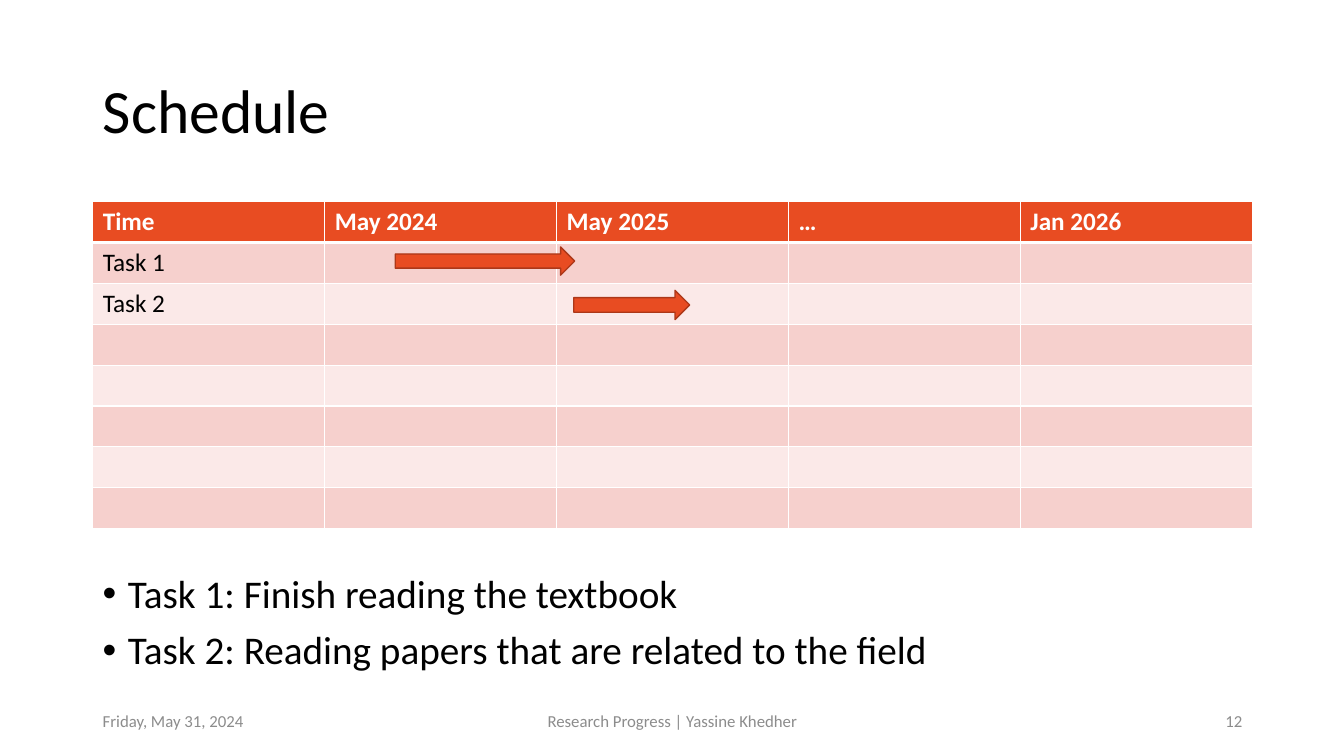
from dataclasses import dataclass

from pptx import Presentation
from pptx import util as u
from pptx.dml import color
from pptx.enum import shapes, text
from pptx.oxml import parse_xml
from pptx.oxml import ns

IN = u.Inches
LEFT, WIDTH = 0.92, 11.5


@dataclass(frozen=True)
class Theme:
    font: str = "Calibri"
    ink: str = "000000"
    pale: str = "FFFFFF"
    grey: str = "8C8C8C"
    main: str = "E84C22"
    edge: str = "AC3819"
    bands: tuple = ("F6D0CD", "FBE9E8")
    head: int = 44
    body: int = 28
    cell: int = 18
    foot: int = 12


THEME = Theme()


def rgb(code):
    return color.RGBColor.from_string(code)


def add_run(para, words, size, ink, bold=False):
    run = para.add_run()
    run.text = words
    font = run.font
    font.name, font.size, font.bold = THEME.font, u.Pt(size), bold
    font.color.rgb = rgb(ink)


def add_box(slide, box, anchor):
    frame = slide.shapes.add_textbox(*map(IN, box)).text_frame
    frame.word_wrap = True
    frame.vertical_anchor = anchor
    return frame


def add_title(slide, box, words):
    title = slide.shapes.title
    title.left, title.top, title.width, title.height = map(IN, box)
    frame = title.text_frame
    frame.vertical_anchor = text.MSO_ANCHOR.MIDDLE
    para = frame.paragraphs[0]
    para.alignment = text.PP_ALIGN.LEFT
    para.line_spacing = 0.9
    add_run(para, words, THEME.head, THEME.ink)


def add_edges(cell, head):
    props = cell._tc.get_or_add_tcPr()
    for spot, side in enumerate(("lnL", "lnR", "lnT", "lnB")):
        wide = u.Pt(3 if head and side == "lnB" else 1)
        props.insert(spot, parse_xml(
            f'<a:{side} {ns.nsdecls("a")} w="{wide}"><a:solidFill>'
            f'<a:srgbClr val="{THEME.pale}"/></a:solidFill></a:{side}>'))


def add_plan(slide, box, heads, tasks, count):
    grid = slide.shapes.add_table(count, len(heads), *map(IN, box)).table
    for col in grid.columns:
        col.width = IN(box[2] / len(heads))
    for row in grid.rows:
        row.height = IN(box[3] / count)
    for r in range(count):
        for c in range(len(heads)):
            cell = grid.cell(r, c)
            cell.fill.solid()
            cell.fill.fore_color.rgb = rgb(THEME.bands[(r - 1) % 2] if r else THEME.main)
            add_edges(cell, r == 0)
            para = cell.text_frame.paragraphs[0]
            para.font.size = u.Pt(THEME.cell)
            if r == 0:
                add_run(para, heads[c], THEME.cell, THEME.pale, True)
            elif c == 0 and r <= len(tasks):
                add_run(para, tasks[r - 1], THEME.cell, THEME.ink)


def add_spans(slide, box, spans):
    for left, top, width, height in spans:
        place = (box[0] + left, box[1] + top, width, height)
        arrow = slide.shapes.add_shape(shapes.MSO_SHAPE.RIGHT_ARROW, *map(IN, place))
        arrow.shadow.inherit = False
        arrow.fill.solid()
        arrow.fill.fore_color.rgb = rgb(THEME.main)
        arrow.line.color.rgb = rgb(THEME.edge)
        arrow.line.width = u.Pt(1)


def add_notes(slide, box, lines):
    frame = add_box(slide, box, text.MSO_ANCHOR.TOP)
    for i, words in enumerate(lines):
        para = frame.add_paragraph() if i else frame.paragraphs[0]
        props = para._p.get_or_add_pPr()
        props.set("marL", str(IN(0.25)))
        props.set("indent", str(IN(-0.25)))
        props.append(parse_xml(f'<a:buFont {ns.nsdecls("a")} typeface="Arial"/>'))
        props.append(parse_xml(f'<a:buChar {ns.nsdecls("a")} char="•"/>'))
        para.line_spacing = 0.9
        if i:
            para.space_before = u.Pt(10)
        add_run(para, words, THEME.body, THEME.ink)


def add_foot(slide, box, date, label, page):
    left, top, width, height = box
    side, mid = 3, 4.5
    align = text.PP_ALIGN
    parts = (
        (date, left, side, align.LEFT),
        (label, left + (width - mid) / 2, mid, align.CENTER),
        (page, left + width - side, side, align.RIGHT),
    )
    for words, x, wide, way in parts:
        frame = add_box(slide, (x, top, wide, height), text.MSO_ANCHOR.MIDDLE)
        para = frame.paragraphs[0]
        para.alignment = way
        add_run(para, words, THEME.foot, THEME.grey)


def main():
    deck = Presentation()
    deck.slide_width, deck.slide_height = IN(13.33), IN(7.5)
    slide = deck.slides.add_slide(deck.slide_layouts[5])
    plan = (LEFT, 2, WIDTH, 3.24)
    add_title(slide, (LEFT, 0.4, WIDTH, 1.45), "Schedule")
    add_plan(slide, plan, ("Time", "May 2024", "May 2025", "…", "Jan 2026"),
             ("Task 1", "Task 2"), 8)
    add_foot(slide, (LEFT, 6.95, WIDTH, 0.4), "Friday, May 31, 2024",
             "Research Progress | Yassine Khedher", "12")
    add_spans(slide, plan, ((3, 0.45, 1.78, 0.28), (4.77, 0.88, 1.15, 0.29)))
    add_notes(slide, (LEFT, 5.65, WIDTH, 1.11),
              ("Task 1: Finish reading the textbook",
               "Task 2: Reading papers that are related to the field"))
    deck.save("out.pptx")


if __name__ == "__main__":
    main()
